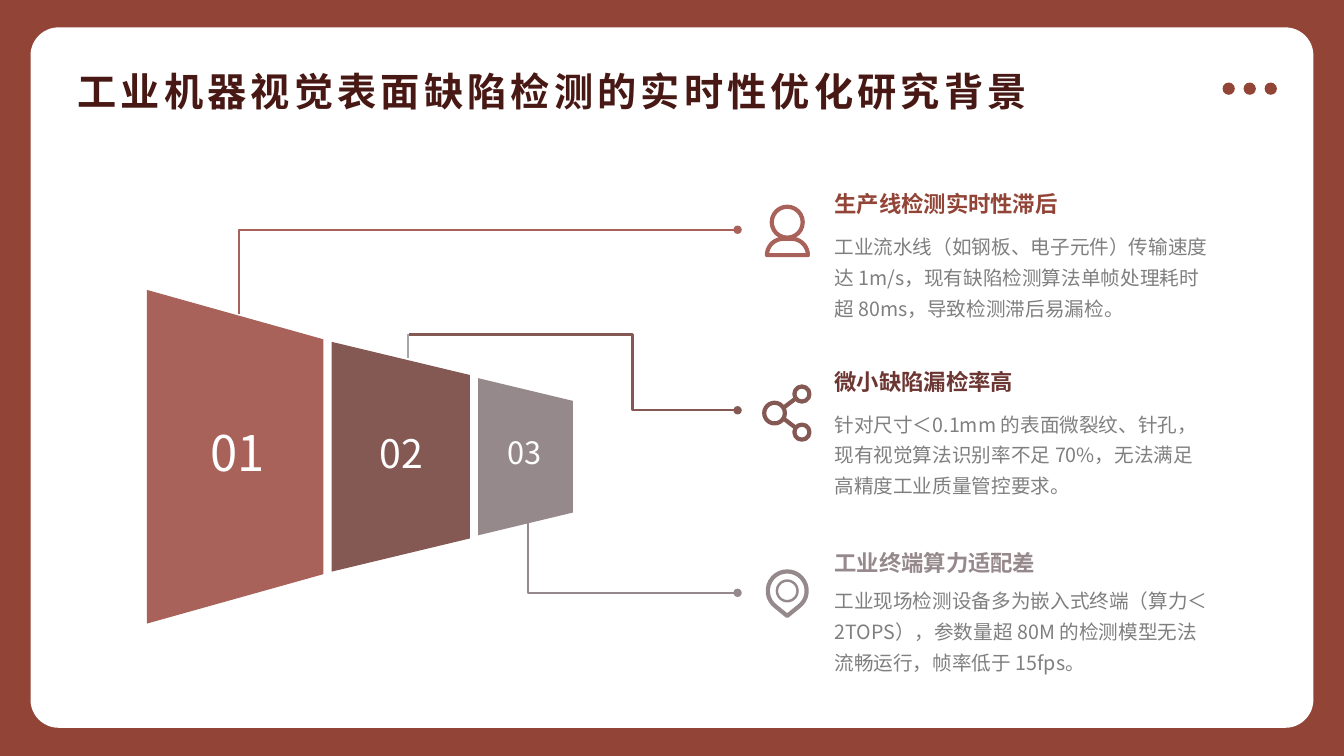
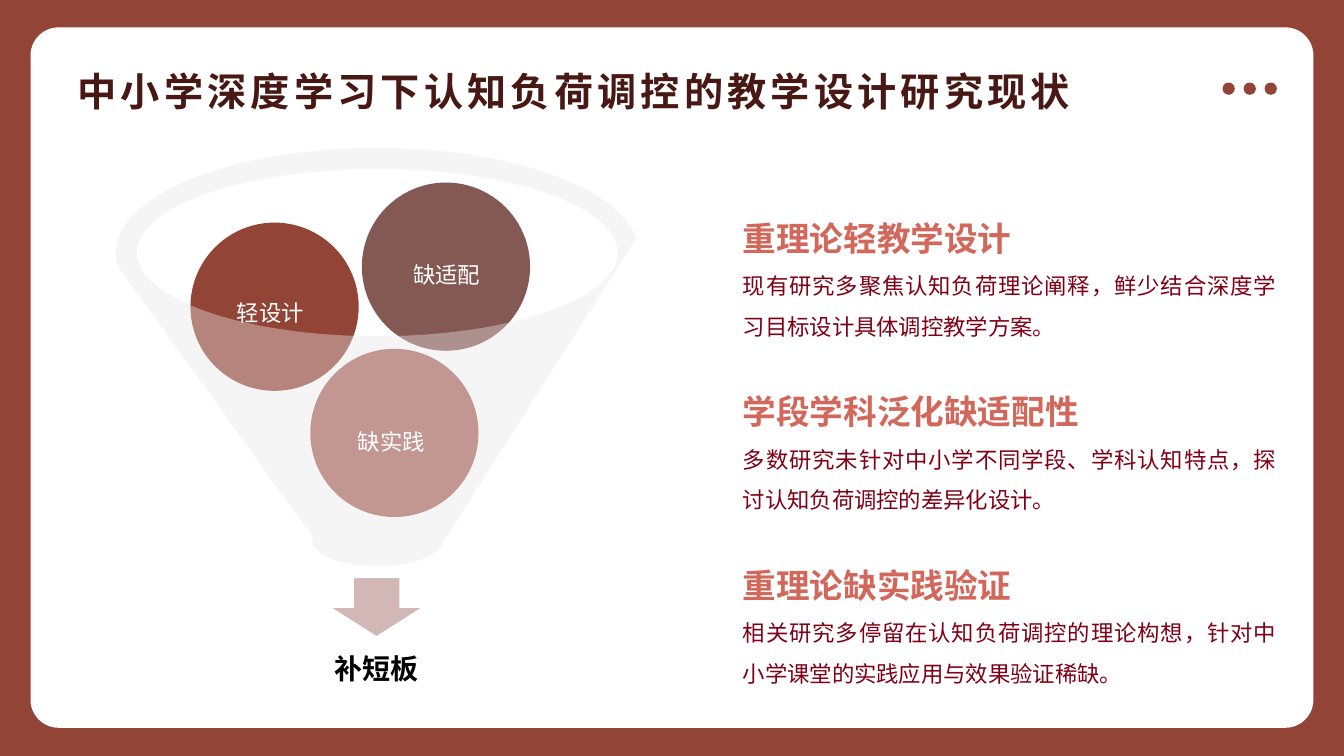
from math import cos, radians, sin

from lxml import etree
from pptx import Presentation
from pptx import util as u
from pptx.dml.color import RGBColor
from pptx.enum import shapes, text
from pptx.oxml.ns import qn

FONT = "Noto Sans CJK SC"
BRICK = RGBColor(0x92, 0x44, 0x37)
DARK = RGBColor(0x48, 0x19, 0x14)
ROSE = RGBColor(0xA8, 0x62, 0x5A)
BROWN = RGBColor(0x84, 0x58, 0x53)
MAUVE = RGBColor(0x96, 0x89, 0x8C)
WINE = RGBColor(0x6C, 0x36, 0x32)
CORAL = RGBColor(0xD2, 0x67, 0x5B)
RED = RGBColor(0x7F, 0x00, 0x17)
BLUSH = RGBColor(0xD1, 0xB7, 0xB5)
MIST = RGBColor(0xEA, 0xE8, 0xE7)
GREY = RGBColor(0x7F, 0x7F, 0x7F)
SILVER = RGBColor(0xA6, 0xA6, 0xA6)
BLACK = RGBColor(0, 0, 0)
WHITE = RGBColor(255, 255, 255)

KIND = shapes.MSO_SHAPE
LINK = shapes.MSO_CONNECTOR
ALIGN = text.PP_ALIGN
MID = text.MSO_ANCHOR.MIDDLE


def cms(*nums):
    return [u.Cm(n) for n in nums]


def arc(x, y, r, start, end):
    """Points on a circle, in degrees clockwise from the right."""
    steps = 24
    turns = [radians(start + (end - start) * i / steps) for i in range(steps + 1)]
    return [(x + r * cos(t), y + r * sin(t)) for t in turns]


class Deck:
    def __init__(self):
        self.prs = Presentation()
        self.prs.slide_width, self.prs.slide_height = cms(33.87, 19.05)
        self.base = self.prs.slide_layouts[5]
        self.slide = None
        fill = self.base.background.fill
        fill.solid()
        fill.fore_color.rgb = BRICK
        title, *rest = self.base.placeholders
        self.place(title, 1.7, 1.3, 30.48, 1.96)
        for item in rest:
            item.element.getparent().remove(item.element)

    def place(self, item, *box):
        for key, num in zip(("left", "top", "width", "height"), box):
            setattr(item, key, u.Cm(num))

    def frame(self):
        """Draw the white card and dots, then move them to the layout."""
        parts = [self.shape(KIND.ROUNDED_RECTANGLE, (0.77, 0.69, 32.33, 17.65), WHITE, adj=0.04)]
        for i in range(3):
            parts.append(self.shape(KIND.OVAL, (30.81 + 0.53 * i, 2.08, 0.31, 0.31), BRICK))
        for i, part in enumerate(parts):
            self.base.shapes.element.insert(2 + i, part.element)

    def page(self, words):
        self.slide = self.prs.slides.add_slide(self.base)
        title = self.slide.shapes.title
        self.words(title, words, DARK, 28, bold=True, align=ALIGN.LEFT)
        for props in title.element.iter(qn("a:rPr")):
            props.set("spc", "300")

    def words(self, item, words, color, size, bold=False, align=None, space=None):
        par = item.text_frame.paragraphs[0]
        for key, val in {"alignment": align, "line_spacing": space}.items():
            setattr(par, key, val)
        run = par.add_run()
        run.text = words
        for key, val in {"name": FONT, "size": u.Pt(size), "bold": bold}.items():
            setattr(run.font, key, val)
        run.font.color.rgb = color
        for props in item.element.iter(qn("a:rPr")):
            etree.SubElement(props, qn("a:ea")).set("typeface", FONT)

    def label(self, words, box, color, size, anchor=None, **form):
        item = self.slide.shapes.add_textbox(*cms(*box))
        style = {"word_wrap": True, "vertical_anchor": anchor, "margin_left": 0,
                 "margin_right": 0, "margin_top": 0, "margin_bottom": 0}
        for key, val in style.items():
            setattr(item.text_frame, key, val)
        self.words(item, words, color, size, **form)

    def paint(self, item, fill=None, line=None, width=1):
        item.shadow.inherit = False
        if fill is None:
            item.fill.background()
        else:
            item.fill.solid()
            item.fill.fore_color.rgb = fill
        if line is None:
            item.line.fill.background()
        else:
            item.line.color.rgb = line
            item.line.width = u.Pt(width)
        return item

    def shape(self, kind, box, fill=None, line=None, width=1, adj=None, alpha=None, turn=0):
        item = self.slide.shapes.add_shape(kind, *cms(*box))
        item.rotation = turn
        if adj is not None:
            item.adjustments[0] = adj
        self.paint(item, fill, line, width)
        if alpha is not None:
            tone = item.element.spPr.find(qn("a:solidFill"))[0]
            etree.SubElement(tone, qn("a:alpha")).set("val", str(alpha * 1000))
        return item

    def ring(self, x, y, r, color, width=3):
        self.shape(KIND.OVAL, (x - r, y - r, 2 * r, 2 * r), line=color, width=width)

    def curve(self, points, color, width=3):
        dots = [cms(*point) for point in points]
        pen = self.slide.shapes.build_freeform(*dots[0])
        pen.add_line_segments(dots[1:], close=True)
        self.paint(pen.convert_to_shape(), line=color, width=width)

    def line(self, ends, color, width=1.5, bend=None):
        """A straight line, or with bend an elbow that starts at a dot."""
        kind = LINK.STRAIGHT if bend is None else LINK.ELBOW
        item = self.slide.shapes.add_connector(kind, *cms(*ends))
        item.line.color.rgb = color
        item.line.width = u.Pt(width)
        props = item.element.spPr
        if bend is not None:
            guide = etree.SubElement(props.find(qn("a:prstGeom")).find(qn("a:avLst")), qn("a:gd"))
            guide.set("name", "adj1")
            guide.set("fmla", f"val {round(bend * 100000)}")
            etree.SubElement(props.find(qn("a:ln")), qn("a:headEnd")).set("type", "oval")
        etree.SubElement(props, qn("a:effectLst"))

    def person(self):
        self.ring(19.84, 5.6, 0.39, ROSE)
        self.curve(arc(19.74, 6.43, 0.41, 180, 270) + arc(19.95, 6.43, 0.41, 270, 360), ROSE)

    def share(self):
        x, y = 19.52, 10.41
        self.ring(x, y, 0.26, BROWN)
        for side in (-1, 1):
            self.ring(20.21, y + 0.48 * side, 0.19, BROWN)
            self.line((x + 0.23, y + 0.14 * side, x + 0.52, y + 0.36 * side), BROWN, 3)

    def pin(self):
        x, y = 19.84, 14.89
        self.curve(arc(x, y, 0.49, 125, 415) + [(x, 15.52)], MAUVE)
        self.ring(x, y, 0.26, MAUVE, 1.75)


def causes(deck):
    left, mid, gap = 3.7, 11.51, 0.21
    blocks = [
        ("01", 35, 4.45, 8.41, 0.28, ROSE, 5.98),
        ("02", 28, 3.48, 5.79, 0.24, BROWN, 10.12),
        ("03", 22, 2.39, 3.96, 0.24, MAUVE, 13.22),
    ]
    for num, size, wide, tall, adj, color, x in blocks:
        box = (left + (wide - tall) / 2, mid - wide / 2, tall, wide)
        deck.shape(KIND.TRAPEZOID, box, color, adj=adj, turn=90)
        deck.label(num, (x - 0.93, 10.65, 1.86, 1.5), WHITE, size, anchor=MID, align=ALIGN.CENTER)
        left += wide + gap

    dot = 18.59
    deck.line((dot, 10.34, 10.31, 8.43), BROWN, bend=0.32)
    deck.line((10.29, 8.41, 10.29, 9.02), SILVER)
    deck.line((dot, 5.79, 6.02, 7.92), ROSE, bend=1)
    deck.line((dot, 14.94, 13.3, 13.16), MAUVE, bend=1)

    rows = [
        (4.8, 5.74, BRICK, deck.person, "生产线检测实时性滞后",
         "工业流水线（如钢板、电子元件）传输速度达 1m/s，现有缺陷检测算法单帧处理耗时超 80ms，导致检测滞后易漏检。"),
        (9.27, 10.21, WINE, deck.share, "微小缺陷漏检率高",
         "针对尺寸＜0.1mm 的表面微裂纹、针孔，现有视觉算法识别率不足 70%，无法满足高精度工业质量管控要求。"),
        (13.84, 14.66, MAUVE, deck.pin, "工业终端算力适配差",
         "工业现场检测设备多为嵌入式终端（算力＜2TOPS），参数量超 80M 的检测模型无法流畅运行，帧率低于 15fps。"),
    ]
    for top, low, color, icon, head, body in rows:
        icon()
        deck.label(head, (21.03, top, 6.1, 0.69), color, 16, bold=True)
        deck.label(body, (21.03, low, 9.5, 2.36), GREY, 14, space=u.Pt(22))


def status(deck):
    deck.shape(KIND.OVAL, (3.4, 4.24, 12.14, 4.22), WHITE)
    deck.shape(KIND.DOWN_ARROW, (8.31, 14.55, 2.36, 1.5), BLUSH, WHITE)
    balls = [
        ("缺实践", 7.82, 8.79, ROSE, 9.02, 10.46),
        ("轻设计", 4.8, 5.61, BRICK, 5.97, 7.19),
        ("缺适配", 9.12, 4.6, BROWN, 10.41, 6.25),
    ]
    for _, x, y, color, *_ in balls:
        deck.shape(KIND.OVAL, (x, y, 4.24, 4.24), color)
    deck.shape(KIND.FUNNEL, (2.92, 3.73, 13.18, 10.54), MIST, alpha=40)
    for word, _, _, _, x, y in balls:
        deck.label(word, (x, y, 1.85, 1.02), WHITE, 16, space=1.5)
    deck.label("补短板", (7.52, 16.41, 3.96, 0.86), BLACK, 20, bold=True, align=ALIGN.CENTER)

    rows = [
        ("重理论轻教学设计", "现有研究多聚焦认知负荷理论阐释，鲜少结合深度学习目标设计具体调控教学方案。"),
        ("学段学科泛化缺适配性", "多数研究未针对中小学不同学段、学科认知特点，探讨认知负荷调控的差异化设计。"),
        ("重理论缺实践验证", "相关研究多停留在认知负荷调控的理论构想，针对中小学课堂的实践应用与效果验证稀缺。"),
    ]
    for i, (head, body) in enumerate(rows):
        top = 5.49 + 4.37 * i
        deck.label(head, (18.72, top, 11.84, 1.02), CORAL, 24, bold=True)
        deck.label(body, (18.72, top + 1.04, 13.46, 2.06), RED, 16, align=ALIGN.JUSTIFY, space=1.5)


def main():
    deck = Deck()
    deck.page("工业机器视觉表面缺陷检测的实时性优化研究背景")
    deck.frame()
    causes(deck)
    deck.page("中小学深度学习下认知负荷调控的教学设计研究现状")
    status(deck)
    deck.prs.save("out.pptx")


if __name__ == "__main__":
    main()
